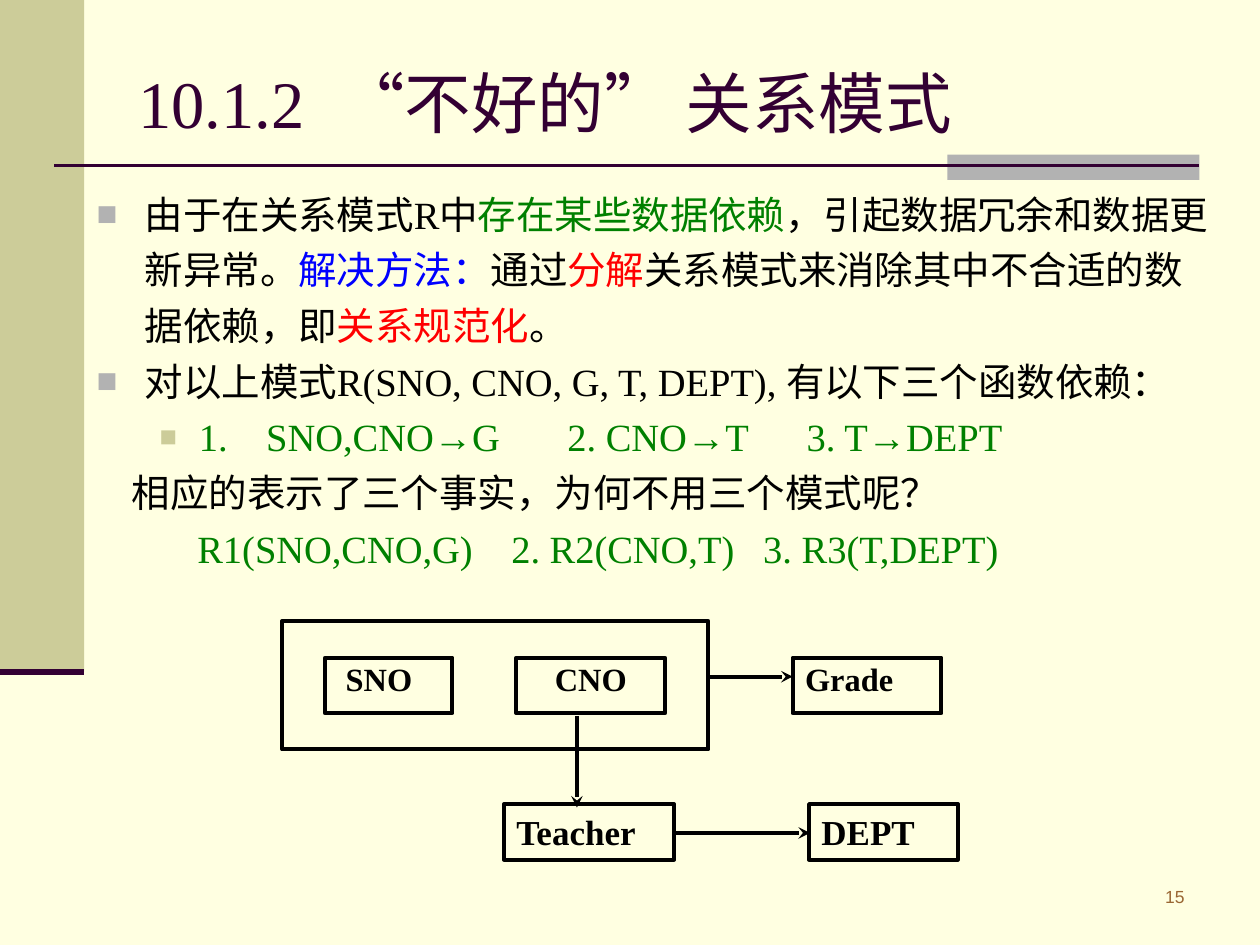
"""Build a slide on a poorly designed relation schema and its functional dependencies."""
from dataclasses import dataclass

from pptx import Presentation
from pptx import util as u
from pptx.dml.color import RGBColor
from pptx.enum import lang, shapes, text
from pptx.oxml import ns
from lxml import etree

CREAM = RGBColor(0xFF, 0xFF, 0xE1)
KHAKI = RGBColor(0xCC, 0xCC, 0x99)
GREY = RGBColor(0xB2, 0xB2, 0xB2)
PLUM = RGBColor(0x33, 0x00, 0x33)
BROWN = RGBColor(0x99, 0x66, 0x33)
BLACK = RGBColor(0, 0, 0)
GREEN = RGBColor(0, 0x80, 0)
BLUE = RGBColor(0, 0, 0xFF)
RED = RGBColor(0xFF, 0, 0)
SERIF = "Times New Roman"
LEFT, CENTER, RIGHT = text.PP_ALIGN.LEFT, text.PP_ALIGN.CENTER, text.PP_ALIGN.RIGHT


@dataclass(frozen=True)
class Span:
    text: str
    color: RGBColor = BLACK
    size: float = 22
    bold: bool = False
    font: str = SERIF
    tracking: float = 0


@dataclass(frozen=True)
class Para:
    spans: list[Span]
    left: float
    hang: float = 0
    bullet: RGBColor | None = None
    bullet_pct: int = 90


@dataclass(frozen=True)
class Node:
    label: str
    x: float
    y: float
    w: float
    size: float
    spacing: float = 1.0
    align: text.PP_ALIGN = LEFT
    inset: float = 0.25


@dataclass(frozen=True)
class Line:
    x1: float
    y1: float
    x2: float
    y2: float
    color: RGBColor = BLACK
    width: float = 2.25
    arrow: bool = True


def gap(points: float, size: float = 22) -> Span:
    return Span(" ", size=size, tracking=points)


BODY = [
    Para([
        Span("由于在关系模式R中"), Span("存在某些数据依赖", GREEN),
        Span("，引起数据冗余和数据更新异常。"), Span("解决方法：", BLUE),
        Span("通过"), Span("分解", RED),
        Span("关系模式来消除其中不合适的数据依赖，即"),
        Span("关系规范化", RED), Span("。"),
    ], 0.97, -0.97, GREY),
    Para([Span("对以上模式R(SNO, CNO, G, T, DEPT), 有以下三个函数依赖：")],
         0.97, -0.97, GREY),
    Para([Span("1.", GREEN), gap(16.5), Span("SNO,CNO→G", GREEN), gap(33),
          Span("2. CNO→T", GREEN), gap(27.5), Span("3. T→DEPT", GREEN)],
         2.06, -0.79, KHAKI, 75),
    Para([Span("相应的表示了三个事实，为何不用三个模式呢？")], 0.71),
    Para([Span("R1(SNO,CNO,G)", GREEN), gap(16.5), Span("2. R2(CNO,T)", GREEN),
          gap(11), Span("3. R3(T,DEPT)", GREEN)], 2.03),
]
NODES = [
    Node("SNO", 6.55, 13.26, 2.57, 18.5, 0.9, inset=0.42),
    Node("CNO", 10.41, 13.26, 3, 18.5, 0.9, CENTER),
    Node("Grade", 15.98, 13.26, 3, 18.5, 0.9),
    Node("Teacher", 10.16, 16.21, 3.43, 20),
    Node("DEPT", 16.31, 16.21, 3, 20),
]
ARROWS = [
    Line(11.63, 14.43, 11.63, 16.28),
    Line(13.61, 16.79, 16.33, 16.79),
    Line(14.27, 13.64, 15.98, 13.64),
]
RULES = [
    Line(1.09, 3.33, 24.18, 3.33, PLUM, 1.5, False),
    Line(0, 13.54, 1.7, 13.54, PLUM, 3.5, False),
]


def add_spans(p, spans: list[Span]) -> None:
    for span in spans:
        r = p.add_run()
        r.text = span.text
        fmt = {"size": u.Pt(span.size), "bold": span.bold, "name": span.font,
               "language_id": lang.MSO_LANGUAGE_ID.SIMPLIFIED_CHINESE}
        for key, value in fmt.items():
            setattr(r.font, key, value)
        r.font.color.rgb = span.color
        if span.tracking:
            r._r.get_or_add_rPr().set("spc", str(round(span.tracking * 100)))


def add_box(s, x: float, y: float, w: float, h: float,
            fill: RGBColor | None = None):
    sp = s.shapes.add_shape(shapes.MSO_SHAPE.RECTANGLE,
                            u.Cm(x), u.Cm(y), u.Cm(w), u.Cm(h))
    sp.shadow.inherit = False
    if fill is not None:
        sp.fill.solid()
        sp.fill.fore_color.rgb = fill
        sp.line.fill.background()
    else:
        sp.fill.background()
        sp.line.color.rgb = BLACK
        sp.line.width = u.Pt(2.25)
    return sp


def add_text(s, x: float, y: float, w: float, h: float,
             anchor=text.MSO_ANCHOR.TOP):
    tf = s.shapes.add_textbox(u.Cm(x), u.Cm(y), u.Cm(w), u.Cm(h)).text_frame
    tf.word_wrap = True
    tf.vertical_anchor = anchor
    return tf


def add_line(s, line: Line) -> None:
    c = s.shapes.add_connector(shapes.MSO_CONNECTOR.STRAIGHT, u.Cm(line.x1),
                               u.Cm(line.y1), u.Cm(line.x2), u.Cm(line.y2))
    c.line.color.rgb = line.color
    c.line.width = u.Pt(line.width)
    if line.arrow:
        etree.SubElement(c.line._get_or_add_ln(), ns.qn("a:tailEnd"), type="stealth")
    etree.SubElement(c._element.spPr, ns.qn("a:effectLst"))


def add_node(s, node: Node) -> None:
    tf = add_box(s, node.x, node.y, node.w, 1.12).text_frame
    fmt = {"vertical_anchor": text.MSO_ANCHOR.TOP, "word_wrap": True,
           "margin_left": u.Cm(node.inset)}
    for key, value in fmt.items():
        setattr(tf, key, value)
    p = tf.paragraphs[0]
    p.alignment = node.align
    p.line_spacing = node.spacing
    add_spans(p, [Span(node.label, size=node.size, bold=True)])


def add_para(p, para: Para) -> None:
    ppr = p._p.get_or_add_pPr()
    ppr.set("marL", str(u.Cm(para.left)))
    ppr.set("indent", str(u.Cm(para.hang)))
    if para.bullet is not None:
        color = etree.SubElement(ppr, ns.qn("a:buClr"))
        etree.SubElement(color, ns.qn("a:srgbClr"), val=str(para.bullet))
        etree.SubElement(ppr, ns.qn("a:buSzPct"), val=str(para.bullet_pct * 1000))
        etree.SubElement(ppr, ns.qn("a:buFont"), typeface="Arial")
        etree.SubElement(ppr, ns.qn("a:buChar"), char="■")
    p.line_spacing = u.Pt(31.8)
    add_spans(p, para.spans)


def main() -> None:
    prs = Presentation()
    prs.slide_width, prs.slide_height = u.Cm(25.4), u.Cm(19.05)
    s = prs.slides.add_slide(prs.slide_layouts[6])
    s.background.fill.solid()
    s.background.fill.fore_color.rgb = CREAM
    add_box(s, 0, 0, 1.7, 13.54, KHAKI)
    add_box(s, 19.1, 3.12, 5.08, 0.51, GREY)
    for rule in RULES:
        add_line(s, rule)

    number = add_text(s, 20.9, 17.73, 3.23, 0.89).paragraphs[0]
    number.alignment = RIGHT
    add_spans(number, [Span("15", BROWN, 10, font="Arial")])
    title = add_text(s, 2.54, 0.76, 21.59, 2.57, text.MSO_ANCHOR.MIDDLE)
    add_spans(title.paragraphs[0], [Span("10.1.2", PLUM, 38), gap(9.5, 38),
                                    Span("“不好的” 关系模式", PLUM, 38)])
    tf = add_text(s, 1.7, 3.53, 23.01, 14)
    for i, para in enumerate(BODY):
        add_para(tf.add_paragraph() if i else tf.paragraphs[0], para)

    add_box(s, 5.69, 12.52, 8.59, 2.59)
    for node in NODES:
        add_node(s, node)
    for arrow in ARROWS:
        add_line(s, arrow)
    prs.save("out.pptx")


if __name__ == "__main__":
    main()
